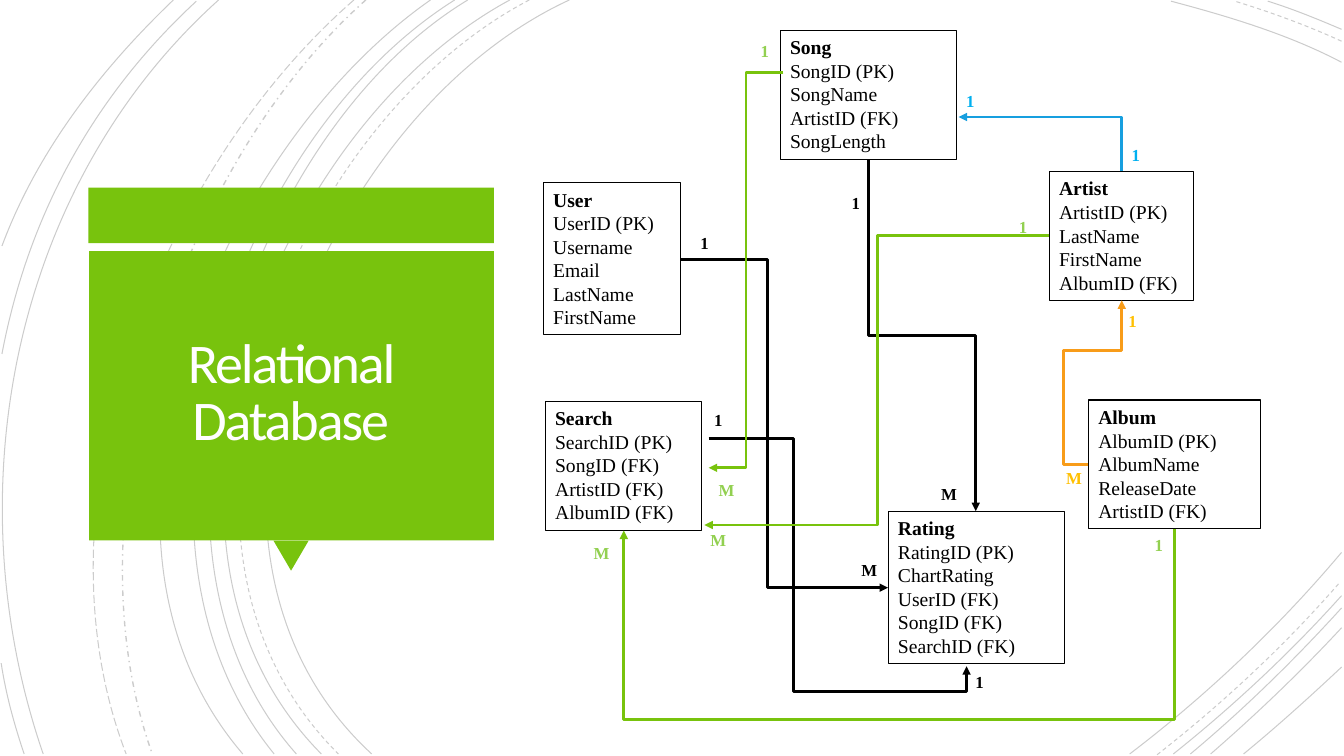
"""Build the relational database slide: title panel, tables and relationships."""
import pptx
import pptx.dml.color
import pptx.enum.dml
import pptx.enum.shapes
import pptx.enum.text
import pptx.oxml.ns
import pptx.util

Cm, Pt = pptx.util.Cm, pptx.util.Pt
SHAPE = pptx.enum.shapes.MSO_SHAPE
DASH = pptx.enum.dml.MSO_LINE
ALIGN = pptx.enum.text.PP_ALIGN
ANCHOR = pptx.enum.text.MSO_ANCHOR
AUTO = pptx.enum.text.MSO_AUTO_SIZE
qn = pptx.oxml.ns.qn

BLACK, GREEN, BLUE, ORANGE = "000000", "78C30D", "179FDF", "F89C19"
LIGHT_GREEN, SKY, AMBER = "92D050", "00B0F0", "FFC000"
SERIF = "Times New Roman"

ARCS = {
    (DASH.SOLID, 0.75): [
        (14.35, 0, 8, 2.92, 3.63, 13.72, 9.37, 19),
        (33.81, 1.57, 32.46, 0.86, 30.94, 0.41, 29.51, 0.03),
        (28.47, 19, 30.4, 17.53, 32.23, 15.8, 33.81, 13.92),
        (12.85, 0, 6.86, 3.23, 2.79, 13.64, 8.1, 19),
        (33.81, 0.74, 33.2, 0.48, 32.59, 0.23, 31.95, 0.03),
        (29.57, 19, 31.06, 17.81, 32.51, 16.46, 33.81, 15.01),
        (11.79, 0, 6.2, 3.38, 2.79, 13.74, 7.47, 19),
        (30, 19, 31.34, 17.88, 32.61, 16.64, 33.81, 15.32),
        (11.46, 0, 5.87, 3.51, 2.46, 13.54, 6.91, 19),
        (30.51, 19, 31.65, 18.01, 32.77, 16.94, 33.81, 15.82),
        (10.85, 0, 5.51, 3.73, 1.35, 13.44, 6.12, 19),
        (31.34, 19, 32.18, 18.31, 32.99, 17.58, 33.81, 16.81),
        (5.51, 0, 0.28, 4.7, -1.17, 12.45, 1.09, 19),
        (4.95, 0.03, 2.34, 2.44, 0.71, 5.44, 0.05, 8.92),
        (0.03, 16.71, 0.15, 17.5, 0.36, 18.26, 0.61, 19),
        (4.37, 0, 2.54, 1.75, 0.94, 3.81, 0.05, 6.2),
    ],
    (DASH.DASH, 0.75): [
        (13.34, 0, 7.24, 3.18, 3.12, 13.64, 8.53, 19),
        (33.81, 1.04, 32.94, 0.64, 32, 0.3, 31.12, 0.03),
        (29.16, 19.02, 30.81, 17.73, 32.39, 16.26, 33.78, 14.66),
    ],
    (DASH.DASH_DOT, 1): [(9.22, 0, 4.47, 4.22, 1.65, 12.93, 3.84, 19)],
    (DASH.LONG_DASH, 0.75): [(8.92, 0, 3.99, 4.29, 0.74, 12.67, 3.18, 19)],
}
PANEL = [
    (SHAPE.RECTANGLE, 2.23, 4.73, 10.22, 1.4, 0),
    (SHAPE.ISOSCELES_TRIANGLE, 6.89, 13.62, 0.89, 0.76, 180),
    (SHAPE.RECTANGLE, 2.25, 6.33, 10.2, 7.29, 0),
]
TABLES = [
    ("User", 13.69, 4.6, 3.45, ["UserID (PK)", "Username", "Email", "LastName", "FirstName"]),
    ("Search", 13.74, 10.11, 3.94, ["SearchID (PK)", "SongID (FK)", "ArtistID (FK)", "AlbumID (FK)"]),
    ("Song", 19.66, 0.76, 4.45, ["SongID (PK)", "SongName", "ArtistID (FK)", "SongLength"]),
    ("Album", 27.43, 10.08, 4.34, ["AlbumID (PK)", "AlbumName", "ReleaseDate", "ArtistID (FK)"]),
    ("Artist", 26.44, 4.32, 3.63, ["ArtistID (PK)", "LastName", "FirstName", "AlbumID (FK)"]),
    ("Rating", 22.38, 12.88, 4.45,
     ["RatingID (PK)", "ChartRating", "UserID (FK)", "SongID (FK)", "SearchID (FK)"]),
]
RELATIONS = [
    (BLACK, (17.15, 6.53), (22.38, 14.81), "across", [19.35]),
    (BLACK, (21.89, 4.01), (24.59, 12.88), "down", [8.46]),
    (BLUE, (28.27, 4.32), (24.16, 2.95), "down", []),
    (ORANGE, (27.43, 11.71), (28.27, 7.57), "across", [26.8, 8.84]),
    (BLACK, (17.86, 11.05), (24.36, 16.79), "across", [19.99, 17.42]),
    (GREEN, (19.74, 1.83), (17.86, 11.79), "across", [18.8]),
    (GREEN, (26.44, 5.94), (17.75, 13.23), "across", [22.1]),
    (GREEN, (29.59, 13.33), (15.72, 13.37), "down", [18.14]),
]
LABELS = {
    BLACK: [("1", 17.4, 5.74), ("M", 21.46, 13.97), ("1", 17.75, 10.21), ("1", 24.33, 16.79),
            ("1", 21.21, 4.72), ("M", 23.47, 12.07)],
    SKY: [("1", 24.1, 2.16), ("1", 28.27, 3.53)],
    AMBER: [("1", 28.19, 7.7), ("M", 26.62, 11.66)],
    LIGHT_GREEN: [("1", 18.92, 0.91), ("M", 17.86, 11.96), ("M", 17.65, 13.23),
                  ("1", 25.43, 5.33), ("M", 14.71, 13.54), ("1", 28.85, 13.36)],
}


def rgb(value):
    """Return the colour of a hex string."""
    return pptx.dml.color.RGBColor.from_string(value)


def apply(target, formats):
    """Set every attribute in formats on target."""
    for name, value in formats.items():
        setattr(target, name, value)


def child(parent, tag, **attributes):
    """Append a new XML element to parent and return it."""
    element = parent.makeelement(qn(tag), attributes)
    parent.append(element)
    return element


def write(p, text, size, colour, font=SERIF, bold=False):
    """Add one formatted run to a paragraph."""
    r = p.add_run()
    r.text = text
    apply(r.font, {"size": Pt(size), "name": font, "bold": bold})
    r.font.color.rgb = rgb(colour)
    return r


def outline(shape, colour, width):
    """Give a shape or connector a solid line."""
    shape.line.color.rgb = rgb(colour)
    shape.line.width = Pt(width)


def add_arc(s, points, dash, width):
    """Draw a faint open Bezier curve from its four control points."""
    corners = [(Cm(x), Cm(y)) for x, y in zip(points[::2], points[1::2])]
    builder = s.shapes.build_freeform(*corners[0])
    builder.add_line_segments(corners[1:], close=False)
    arc = builder.convert_to_shape()
    arc.shadow.inherit = False
    arc.fill.background()
    outline(arc, BLACK, width)
    arc.line.dash_style = dash
    spPr = arc.element.spPr
    outline_path = spPr.find(".//" + qn("a:path"))
    curve = child(outline_path, "a:cubicBezTo")
    for segment in outline_path.findall(qn("a:lnTo")):
        curve.append(segment[0])
        outline_path.remove(segment)
    child(spPr.find(qn("a:ln")).find(".//" + qn("a:srgbClr")), "a:alpha", val="20000")


def add_table_box(s, name, left, top, width, fields):
    """Draw an entity box with a bold name above its fields."""
    height = 0.59 * (len(fields) + 1) + 0.3
    box = s.shapes.add_shape(SHAPE.RECTANGLE, Cm(left), Cm(top), Cm(width), Cm(height))
    box.shadow.inherit = False
    box.fill.background()
    outline(box, BLACK, 0.75)
    tf = box.text_frame
    apply(tf, {"word_wrap": True, "vertical_anchor": ANCHOR.TOP, "auto_size": AUTO.SHAPE_TO_FIT_TEXT})
    for i, text in enumerate([name] + fields):
        p = tf.add_paragraph() if i else tf.paragraphs[0]
        p.alignment = ALIGN.LEFT
        write(p, text, 14, BLACK, bold=i == 0)


def add_relation(s, colour, start, end, axis, bends):
    """Draw an elbow arrow leaving along axis and turning at each bend."""
    first = 1 if axis == "down" else 0
    order = (first, 1 - first)
    spans = [end[k] - start[k] for k in order]
    rot, u, v = (270, -spans[0], spans[1]) if first else (180, -spans[0], -spans[1])
    if u < 0 and v < 0:
        rot, u, v = rot - 180, -u, -v
    width, height = abs(u), abs(v)
    left = (start[0] + end[0] - width) / 2
    top = (start[1] + end[1] - height) / 2
    arrow = s.shapes.add_connector(pptx.enum.shapes.MSO_CONNECTOR.ELBOW,
                                   Cm(left), Cm(top), Cm(left + width), Cm(top + height))
    outline(arrow, colour, 2)
    spPr = arrow.element.spPr
    for name, value in (("rot", rot * 60000), ("flipH", int(u < 0)), ("flipV", int(v < 0))):
        if value:
            spPr.find(qn("a:xfrm")).set(name, str(value))
    geom = spPr.find(qn("a:prstGeom"))
    geom.set("prst", f"bentConnector{len(bends) + 2}")
    guides = geom.get_or_add_avLst()
    for i, (bend, k, span) in enumerate(zip(bends, order, spans), 1):
        share = round((bend - start[k]) / span * 100000)
        child(guides, "a:gd", name=f"adj{i}", fmla=f"val {share}")
    child(spPr.find(qn("a:ln")), "a:tailEnd", type="triangle")
    child(spPr, "a:effectLst")


prs = pptx.Presentation()
apply(prs, {"slide_width": Cm(33.87), "slide_height": Cm(19.05)})
s = prs.slides.add_slide(prs.slide_layouts[5])

for (dash, width), arcs in ARCS.items():
    for points in arcs:
        add_arc(s, points, dash, width)

for kind, left, top, width, height, turn in PANEL:
    sp = s.shapes.add_shape(kind, Cm(left), Cm(top), Cm(width), Cm(height))
    sp.rotation = turn
    sp.shadow.inherit = False
    sp.fill.solid()
    sp.fill.fore_color.rgb = rgb(GREEN)
    sp.line.fill.background()

title = s.shapes.title
title.element.getparent().append(title.element)
apply(title, {"left": Cm(2.46), "top": Cm(6.53), "width": Cm(9.73), "height": Cm(6.83)})
tf = title.text_frame
apply(tf, {"word_wrap": True, "auto_size": AUTO.NONE, "vertical_anchor": ANCHOR.MIDDLE})
apply(tf, {f"margin_{side}": Cm(0.64) for side in ("left", "top", "right", "bottom")})
p = tf.paragraphs[0]
apply(p, {"alignment": ALIGN.CENTER, "line_spacing": 0.85})
r = write(p, "Relational Database", 40, "FFFEFF", "Calibri")
r.font._element.set("spc", "-150")

for table in TABLES:
    add_table_box(s, *table)
for relation in RELATIONS:
    add_relation(s, *relation)
for colour, marks in LABELS.items():
    for text, left, top in marks:
        label = s.shapes.add_textbox(Cm(left), Cm(top), Cm(0.91 if text == "M" else 0.74), Cm(0.77))
        apply(label.text_frame, {"word_wrap": False, "auto_size": AUTO.SHAPE_TO_FIT_TEXT})
        write(label.text_frame.paragraphs[0], text, 12, colour, bold=True)

prs.save("out.pptx")
